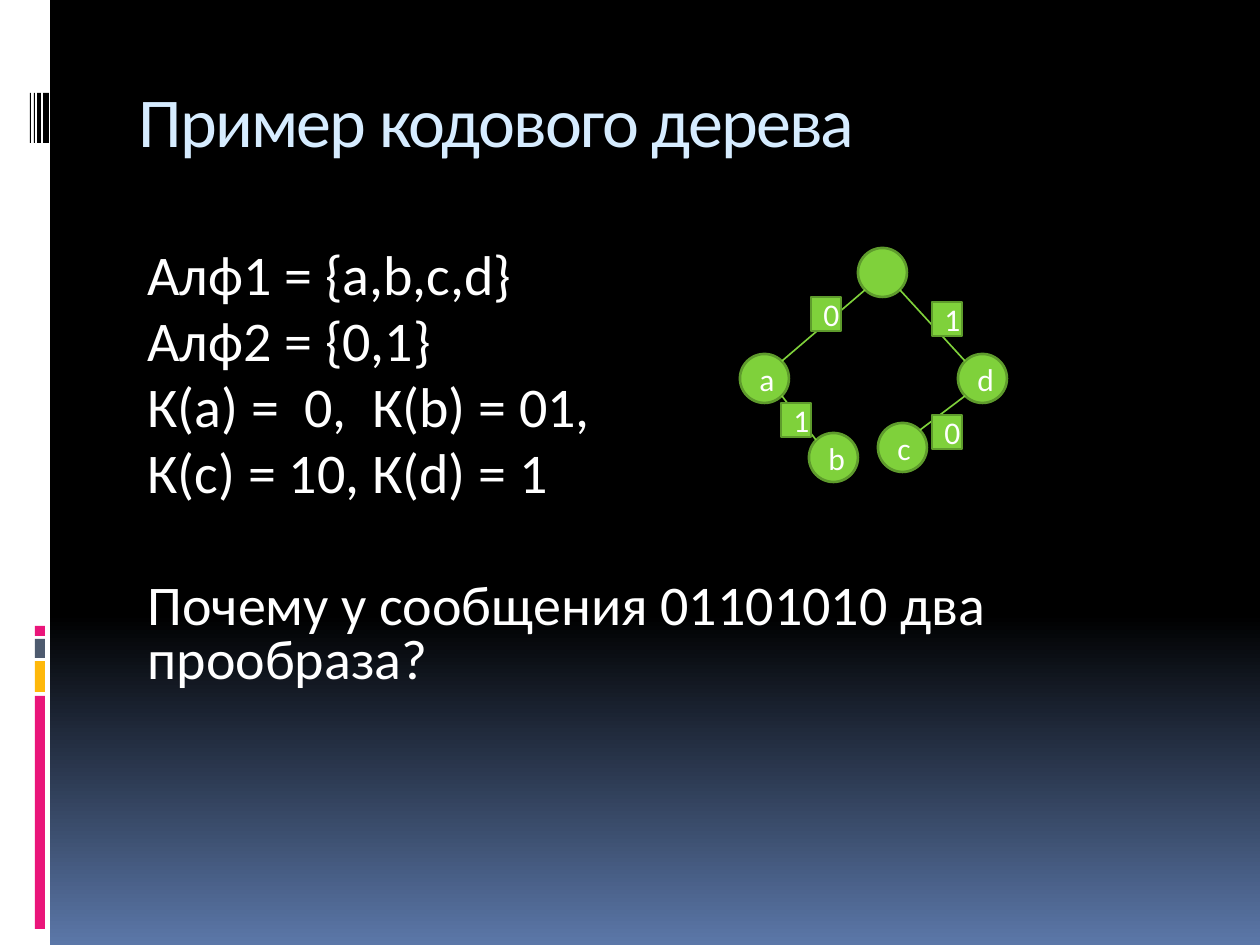
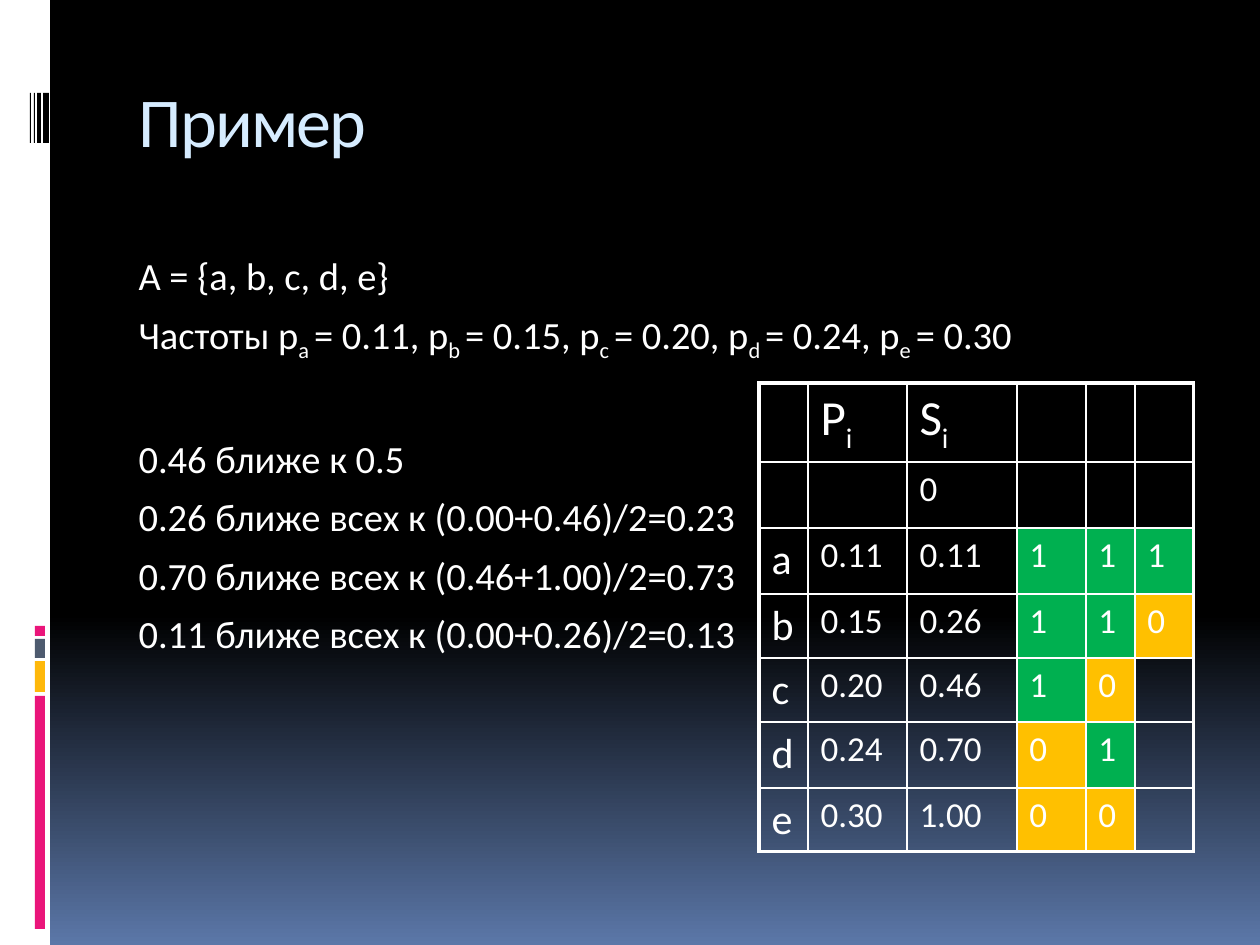
from math import sqrt

from lxml.etree import SubElement
from pptx import Presentation
from pptx.dml.color import RGBColor
from pptx.enum.shapes import MSO_CONNECTOR, MSO_SHAPE
from pptx.enum.text import MSO_ANCHOR, MSO_AUTO_SIZE, PP_ALIGN
from pptx.oxml.ns import qn
from pptx.util import Emu, Pt

EMU_PER_PX = 914400 / 126
FONT = "Calibri"
WHITE, BLACK, SKY, NIGHT_BLUE = "FFFFFF", "000000", "D6ECFF", "5B77A8"
PINK, YELLOW, SLATE = "EA157A", "FEB80A", "4E5B6F"
LIME, LEAF = "7FD13B", "5E9B2C"
BIT_FILLS = {"1": "00B050", "0": "FFC000"}

BAND_BARS = [
    (0, 0, 50, 945, WHITE),
    (35, 696, 10, 233, PINK),
    (35, 661, 10, 31, YELLOW),
    (35, 639, 10, 19, SLATE),
    (35, 626, 10, 10, PINK),
]
BARCODE_STRIPES = [(43, 6), (37, 4), (34, 1), (30, 1)]

NODE_SIZE = 49
TREE_NODES = {
    "": (858, 248),
    "d": (958, 354),
    "c": (878, 423),
    "b": (809, 433),
    "a": (740, 354),
}
TREE_EDGES = [("d", "c"), ("", "d"), ("a", "b"), ("", "a")]
EDGE_BITS = [("1", 932, 302), ("1", 781, 403), ("0", 932, 415), ("0", 811, 297)]

ALPHABET_LINES = [
    "Алф1 = {a,b,c,d}",
    "Алф2 = {0,1}",
    "К(а) =  0,  К(b) = 01,",
    "К(с) = 10, К(d) = 1",
    "Почему у сообщения 01101010 два прообраза?",
]
FREQUENCY_LINES = [
    "А = {a, b, c, d, e}",
    "Частоты p_a _= 0.11, p_b _= 0.15, p_c _= 0.20, p_d _= 0.24, p_e _= 0.30",
    "0.46 ближе к 0.5",
    "0.26 ближе всех к (0.00+0.46)/2=0.23",
    "0.70 ближе всех к (0.46+1.00)/2=0.73",
    "0.11 ближе всех к (0.00+0.26)/2=0.13",
]
CODE_COLUMNS = [49, 99, 110, 69, 49, 59]
CODE_ROW_HEIGHTS = [72, 66, 66, 63, 63, 66, 63]
CODE_ROWS = [
    ["", "P_i", "S_i", "", "", ""],
    ["", "", "0", "", "", ""],
    ["a", "0.11", "0.11", "1", "1", "1"],
    ["b", "0.15", "0.26", "1", "1", "0"],
    ["c", "0.20", "0.46", "1", "0", ""],
    ["d", "0.24", "0.70", "0", "1", ""],
    ["e", "0.30", "1.00", "0", "0", ""],
]


def px(length):
    """Turn a length in px into EMU."""
    return Emu(round(length * EMU_PER_PX))


def rgb(code):
    """Turn a hex string into a colour."""
    return RGBColor.from_string(code)


def write(paragraph, text, size, color=WHITE):
    """Write text in which every second part between underscores is a subscript."""
    for index, part in enumerate(text.split("_")):
        run = paragraph.add_run()
        run.text = part
        run.font.name = FONT
        run.font.size = Pt(size)
        run.font.color.rgb = rgb(color)
        if index % 2:
            run.font._element.set("baseline", "-25000")


def place(shape, left, top, width, height):
    """Move and size a shape."""
    shape.left, shape.top, shape.width, shape.height = map(px, (left, top, width, height))


def add_block(slide, kind, left, top, width, height, fill, outline=None, label=""):
    """Add a flat preset shape, with an optional outline and label."""
    block = slide.shapes.add_shape(kind, px(left), px(top), px(width), px(height))
    block.shadow.inherit = False
    block.fill.solid()
    block.fill.fore_color.rgb = rgb(fill)
    if outline:
        block.line.color.rgb = rgb(outline)
        block.line.width = Pt(1.5)
    else:
        block.line.fill.background()
    if label:
        paragraph = block.text_frame.paragraphs[0]
        paragraph.alignment = PP_ALIGN.CENTER
        write(paragraph, label, 18)


def set_background(slide):
    """Fade the background from black to blue."""
    fill = slide.background.fill
    fill.gradient()
    fill.gradient_angle = 270
    for stop, position, color in zip(fill.gradient_stops, (0.65, 1), (BLACK, NIGHT_BLUE)):
        stop.position = position
        stop.color.rgb = rgb(color)


def add_side_band(slide):
    """Draw the white band with its coloured bars and barcode."""
    for *box, color in BAND_BARS:
        add_block(slide, MSO_SHAPE.RECTANGLE, *box, color)
    for left, width in BARCODE_STRIPES:
        add_block(slide, MSO_SHAPE.RECTANGLE, left, 93, width, 50, BLACK)


def set_title(slide, text):
    """Place and write the title."""
    title = slide.shapes.title
    place(title, 126, 71, 1071, 126)
    frame = title.text_frame
    frame.vertical_anchor = MSO_ANCHOR.TOP
    frame.auto_size = MSO_AUTO_SIZE.NONE
    paragraph = frame.paragraphs[0]
    paragraph.alignment = PP_ALIGN.LEFT
    write(paragraph, text, 40, SKY)
    for run in paragraph.runs:
        run.font._element.set("spc", "-100")


def set_body(slide, lines, size, margin, line_spacing, gap_line, gap):
    """Write the body lines, with a wider gap above one of them."""
    body = slide.placeholders[1]
    place(body, 126, 246, 1071, 630)
    frame = body.text_frame
    frame.auto_size = MSO_AUTO_SIZE.NONE
    for index, line in enumerate(lines):
        paragraph = frame.add_paragraph() if index else frame.paragraphs[0]
        paragraph.line_spacing = line_spacing
        paragraph.space_before = Pt(gap if index == gap_line else 7)
        properties = paragraph._p.get_or_add_pPr()
        properties.set("marL", str(px(margin)))
        properties.set("indent", "0")
        SubElement(properties, qn("a:buNone"))
        write(paragraph, line, size)


def start_slide(deck, title):
    """Add a slide with the shared background, band and title."""
    slide = deck.slides.add_slide(deck.slide_layouts[1])
    set_background(slide)
    add_side_band(slide)
    set_title(slide, title)
    return slide


def add_edge(slide, parent, child):
    """Join two tree nodes along their facing diagonals."""
    parent_x, parent_y = (side + NODE_SIZE / 2 for side in TREE_NODES[parent])
    child_x, child_y = (side + NODE_SIZE / 2 for side in TREE_NODES[child])
    reach = NODE_SIZE / 2 / sqrt(2)
    across = reach if child_x > parent_x else -reach
    edge = slide.shapes.add_connector(
        MSO_CONNECTOR.STRAIGHT,
        px(parent_x + across), px(parent_y + reach),
        px(child_x - across), px(child_y - reach),
    )
    edge.line.color.rgb = rgb(LIME)
    edge.line.width = Pt(0.94)
    SubElement(edge._element.spPr, qn("a:effectLst"))


def add_code_tree(slide):
    """Draw the nodes, edges and bits of the code tree."""
    for label, (left, top) in TREE_NODES.items():
        add_block(slide, MSO_SHAPE.OVAL, left, top, NODE_SIZE, NODE_SIZE, LIME, LEAF, label)
    for parent, child in TREE_EDGES:
        add_edge(slide, parent, child)
    for bit, left, top in EDGE_BITS:
        add_block(slide, MSO_SHAPE.RECTANGLE, left, top, 30, 34, LIME, LEAF, bit)


def set_borders(cell, outer_sides):
    """Give a cell white borders, thicker on the table's outer sides."""
    properties = cell._tc.get_or_add_tcPr()
    for side in "LRTB":
        width = Pt(2.25 if side in outer_sides else 1)
        border = SubElement(properties, qn(f"a:ln{side}"), w=str(width))
        paint = SubElement(border, qn("a:solidFill"))
        SubElement(paint, qn("a:srgbClr"), val=WHITE)


def add_code_table(slide):
    """Add the table of frequencies, sums and code bits."""
    last_row, last_column = len(CODE_ROWS) - 1, len(CODE_COLUMNS) - 1
    table = slide.shapes.add_table(
        last_row + 1, last_column + 1, px(759), px(383),
        px(sum(CODE_COLUMNS)), px(sum(CODE_ROW_HEIGHTS)),
    ).table
    table.first_row = table.horz_banding = False
    for column, width in zip(table.columns, CODE_COLUMNS):
        column.width = px(width)
    for row, height in zip(table.rows, CODE_ROW_HEIGHTS):
        row.height = px(height)
    for r, values in enumerate(CODE_ROWS):
        for c, value in enumerate(values):
            cell = table.cell(r, c)
            edges = {"L": c == 0, "R": c == last_column, "T": r == 0, "B": r == last_row}
            set_borders(cell, [side for side, outer in edges.items() if outer])
            if c > 2 and value:
                cell.fill.solid()
                cell.fill.fore_color.rgb = rgb(BIT_FILLS[value])
            else:
                cell.fill.background()
            if value:
                paragraph = cell.text_frame.paragraphs[0]
                spacing = SubElement(paragraph._p.get_or_add_pPr(), qn("a:spcBef"))
                SubElement(spacing, qn("a:spcPct"), val="20000")
                write(paragraph, value, 28 if r == 0 else 24 if c == 0 else 20)


def main():
    """Build the two slides."""
    deck = Presentation()
    deck.slide_width, deck.slide_height = px(1260), px(945)

    tree_slide = start_slide(deck, "Пример кодового дерева")
    set_body(tree_slide, ALPHABET_LINES, 32, 9, 0.8, gap_line=4, gap=45)
    add_code_tree(tree_slide)

    table_slide = start_slide(deck, "Пример")
    set_body(table_slide, FREQUENCY_LINES, 22, 0, 1, gap_line=2, gap=41)
    add_code_table(table_slide)

    deck.save("out.pptx")


if __name__ == "__main__":
    main()
